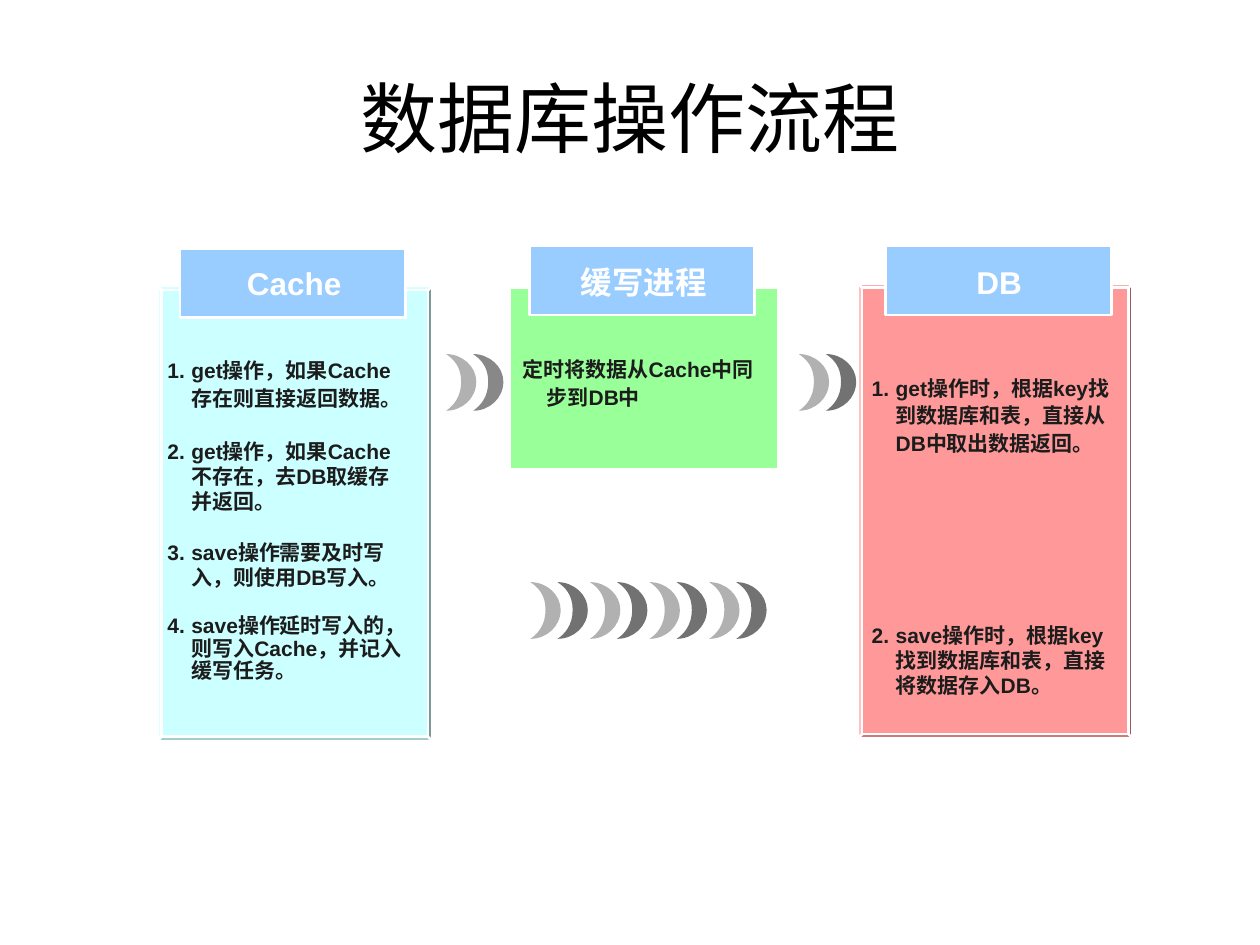
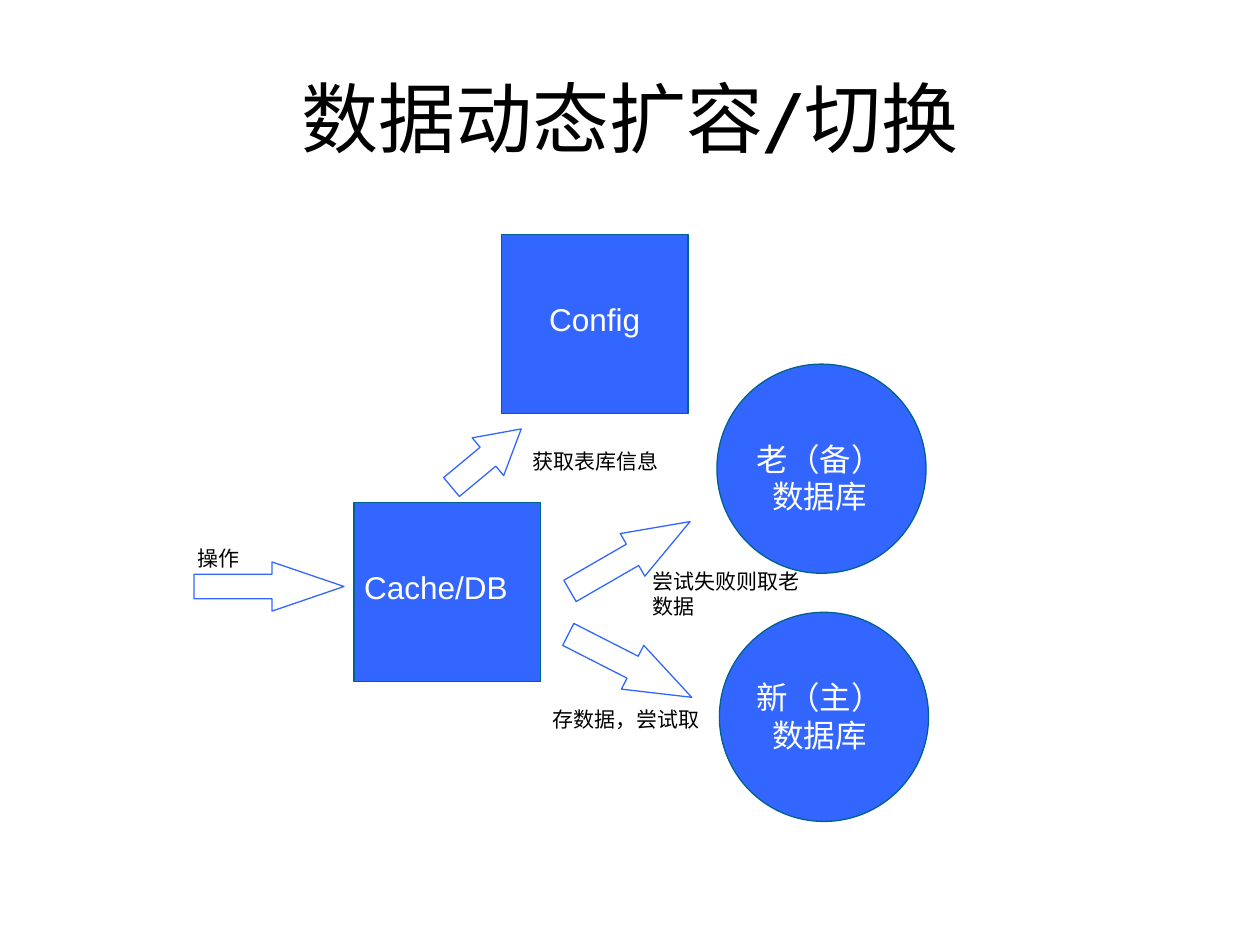
"""Build two slides on cached database access and dynamic data expansion."""
from lxml import etree
from pptx import Presentation
from pptx.dml.color import RGBColor
from pptx.enum import shapes, text
from pptx.oxml import ns
from pptx.util import Inches, Pt

WHITE = RGBColor(0xFF, 0xFF, 0xFF)
BLACK = RGBColor(0x00, 0x00, 0x00)
INK = RGBColor(0x1C, 0x1C, 0x1C)
CRESCENT_GREY = RGBColor(0x33, 0x33, 0x33)
HEADER_BLUE = RGBColor(0x99, 0xCC, 0xFF)
CACHE_CYAN = RGBColor(0xCC, 0xFF, 0xFF)
WRITER_GREEN = RGBColor(0x99, 0xFF, 0x99)
DB_RED = RGBColor(0xFF, 0x99, 0x99)
NODE_BLUE = RGBColor(0x33, 0x66, 0xFF)
NODE_EDGE = RGBColor(0x00, 0x61, 0x8E)

PRESET = shapes.MSO_SHAPE
CENTER = text.PP_ALIGN.CENTER
LEFT = text.PP_ALIGN.LEFT
MIDDLE = text.MSO_ANCHOR.MIDDLE

CRESCENT_CURVES = [
    ((0.06, 0.04), (0.12, 0.1), (0.12, 0.22)),
    ((0.12, 0.34), (0.06, 0.41), (0, 0.45)),
    ((0.13, 0.45), (0.24, 0.35), (0.24, 0.22)),
    ((0.24, 0.1), (0.13, 0), (0, 0)),
]


class Deck:
    """Hold the shared style and the slide being drawn."""

    def __init__(self):
        self.presentation = Presentation()
        self.presentation.slide_width = Inches(10)
        self.presentation.slide_height = Inches(7.5)
        self.slide = None

    def new_slide(self, title):
        """Start a slide with its title."""
        layout = self.presentation.slide_layouts[6]
        self.slide = self.presentation.slides.add_slide(layout)
        self.label(title, 0.5, 0.3, 9, 1.25, size=44, color=BLACK,
                   font="Cabin", anchor=MIDDLE)

    def text_frame(self, left, top, width, height, wrap=True):
        """Add a text box and return its frame."""
        box = self.slide.shapes.add_textbox(
            Inches(left), Inches(top), Inches(width), Inches(height))
        box.text_frame.word_wrap = wrap
        return box.text_frame

    def style(self, paragraph, size, color, bold=False, font="Arial"):
        """Set the font of a paragraph."""
        paragraph.font.name = font
        paragraph.font.size = Pt(size)
        paragraph.font.bold = bold
        paragraph.font.color.rgb = color

    def label(self, words, left, top, width, height, size=18, color=WHITE, bold=False,
              font="Arial", align=CENTER, anchor=text.MSO_ANCHOR.TOP, wrap=True):
        """Add a one-paragraph text box."""
        frame = self.text_frame(left, top, width, height, wrap)
        frame.vertical_anchor = anchor
        paragraph = frame.paragraphs[0]
        paragraph.text = words
        paragraph.alignment = align
        self.style(paragraph, size, color, bold, font)

    def note(self, words, left, top, width, height=0.3):
        """Add a small caption beside an arrow."""
        self.label(words, left, top, width, height, size=12, color=BLACK, align=LEFT)

    def steps(self, items, left, top, height, numbered=True):
        """Add hanging paragraphs given as text, line spacing and space before."""
        frame = self.text_frame(left, top, 2.12, height)
        for number, (words, spacing, before) in enumerate(items, 1):
            paragraph = frame.paragraphs[0] if number == 1 else frame.add_paragraph()
            paragraph.text = words
            paragraph.line_spacing = spacing
            paragraph.space_before = Pt(before)
            properties = paragraph._p.get_or_add_pPr()
            properties.set("marL", str(Inches(0.19)))
            properties.set("indent", str(Inches(-0.19)))
            properties.set("hangingPunct", "0")
            if numbered:
                etree.SubElement(properties, ns.qn("a:buAutoNum"),
                                 type="arabicPeriod", startAt=str(number))
            self.style(paragraph, 12, INK, bold=True)

    def shape(self, preset, left, top, width, height, fill, line, line_width=0.75,
              adjustments=(), rotation=0):
        """Add a preset shape, hollow when fill is None."""
        shape = self.slide.shapes.add_shape(
            preset, Inches(left), Inches(top), Inches(width), Inches(height))
        shape.shadow.inherit = False
        for index, value in enumerate(adjustments):
            shape.adjustments[index] = value
        shape.rotation = rotation
        if fill is None:
            shape.fill.background()
        else:
            shape.fill.solid()
            shape.fill.fore_color.rgb = fill
        shape.line.color.rgb = line
        shape.line.width = Pt(line_width)

    def panel(self, left, top, height, fill, header_left, header_top):
        """Add a bevelled panel with a header tab."""
        self.shape(PRESET.BEVEL, left, top, 2.18, height, fill, WHITE, 1.5, [0.015])
        self.shape(PRESET.ROUNDED_RECTANGLE, header_left, header_top, 1.79, 0.55,
                   HEADER_BLUE, WHITE, 1.5, [0])

    def header(self, words, left, top, width):
        """Add the bold title of a panel."""
        self.label(words, left, top, width, 0.4, bold=True, wrap=False)

    def crescent(self, left, top, opacity):
        """Add a translucent crescent with curved sides."""
        builder = self.slide.shapes.build_freeform(Inches(left), Inches(top))
        builder.add_line_segments(
            [(Inches(left + curve[-1][0]), Inches(top + curve[-1][1]))
             for curve in CRESCENT_CURVES], close=True)
        shape = builder.convert_to_shape()
        shape.shadow.inherit = False
        shape.fill.solid()
        shape.fill.fore_color.rgb = CRESCENT_GREY
        shape.line.fill.background()
        properties = shape._element.spPr
        color = properties.find(".//" + ns.qn("a:srgbClr"))
        etree.SubElement(color, ns.qn("a:alpha"), val=str(opacity * 1000))
        sides = properties.findall(".//" + ns.qn("a:lnTo"))
        for side, curve in zip(sides, CRESCENT_CURVES):
            bezier = etree.Element(ns.qn("a:cubicBezTo"))
            for x, y in curve:
                etree.SubElement(bezier, ns.qn("a:pt"),
                                 x=str(Inches(x)), y=str(Inches(y)))
            side.getparent().replace(side, bezier)

    def crescent_pair(self, left, top, opacity=69):
        """Add a pale crescent followed by a darker one."""
        self.crescent(left, top, 38)
        self.crescent(left + 0.215, top, opacity)

    def arrow(self, left, top, width, head, rotation=0, fill=None):
        """Add an outlined block arrow."""
        self.shape(PRESET.RIGHT_ARROW, left, top, width, 0.39, fill, NODE_BLUE,
                   adjustments=[0.5, head], rotation=rotation)

    def node(self, preset, left, top, width, height):
        """Add a blue node."""
        self.shape(preset, left, top, width, height, NODE_BLUE, NODE_EDGE)


def operation_flow(deck):
    """Draw the cache, delayed writer and database flow."""
    deck.new_slide("数据库操作流程")
    deck.panel(1.25, 2.27, 3.61, CACHE_CYAN, 1.43, 1.97)
    deck.header("Cache", 1.86, 2.05, 0.95)
    deck.panel(4.02, 2.26, 1.49, WRITER_GREEN, 4.2, 1.95)
    deck.header("缓写进程", 4.51, 2.04, 1.2)
    deck.panel(6.81, 2.25, 3.61, DB_RED, 7.03, 1.95)
    deck.header("DB", 7.65, 2.04, 0.56)
    deck.steps([
        ("get操作，如果Cache存在则直接返回数据。", 1.1, 0),
        ("get操作，如果Cache不存在，去DB取缓存并返回。", 1.0, 16),
        ("save操作需要及时写入，则使用DB写入。", 1.0, 14.5),
        ("save操作延时写入的，则写入Cache，并记入缓写任务。", 0.9, 14.5),
    ], 1.23, 2.77, 2.7)
    deck.steps([("定时将数据从Cache中同步到DB中", 1.1, 0)],
               4.05, 2.76, 0.76, numbered=False)
    deck.steps([
        ("get操作时，根据key找到数据库和表，直接从DB中取出数据返回。", 1.1, 0),
        ("save操作时，根据key找到数据库和表，直接将数据存入DB。", 1.0, 95),
    ], 6.82, 2.91, 2.88)
    deck.crescent_pair(3.54, 2.81, opacity=58)
    deck.crescent_pair(6.34, 2.81)
    for index in range(4):
        deck.crescent_pair(4.21 + index * 0.473, 4.62)


def data_expansion(deck):
    """Draw the switch between old and new databases."""
    deck.new_slide("数据动态扩容/切换")
    for name, left, top, label_left, label_top in [
            ("Cache/DB", 2.81, 3.99, 2.72, 4.46), ("Config", 3.98, 1.86, 3.98, 2.33)]:
        deck.node(PRESET.RECTANGLE, left, top, 1.48, 1.42)
        deck.label(name, label_left, label_top, 1.48, 0.4)
    for name, left, top, label_top in [
            ("老（备）数据库", 5.69, 2.89, 3.44), ("新（主）数据库", 5.71, 4.86, 5.33)]:
        deck.node(PRESET.OVAL, left, top, 1.66, 1.66)
        deck.label(name, 5.79, label_top, 1.43, 0.7)
    deck.arrow(1.54, 4.46, 1.19, 1.465)
    deck.arrow(3.5, 3.44, 0.72, 0.88, rotation=320.2, fill=WHITE)
    deck.arrow(4.45, 4.22, 1.1, 1.35, rotation=330, fill=WHITE)
    deck.arrow(4.45, 5.09, 1.1, 1.35, rotation=27)
    deck.note("操作", 1.47, 4.28, 0.69)
    deck.note("获取表库信息", 4.13, 3.51, 1.27)
    deck.note("尝试失败则取老数据", 5.08, 4.46, 1.49, 0.5)
    deck.note("存数据，尝试取", 4.29, 5.56, 1.42)


def main():
    """Build and save the slides."""
    deck = Deck()
    operation_flow(deck)
    data_expansion(deck)
    deck.presentation.save("out.pptx")


if __name__ == "__main__":
    main()
